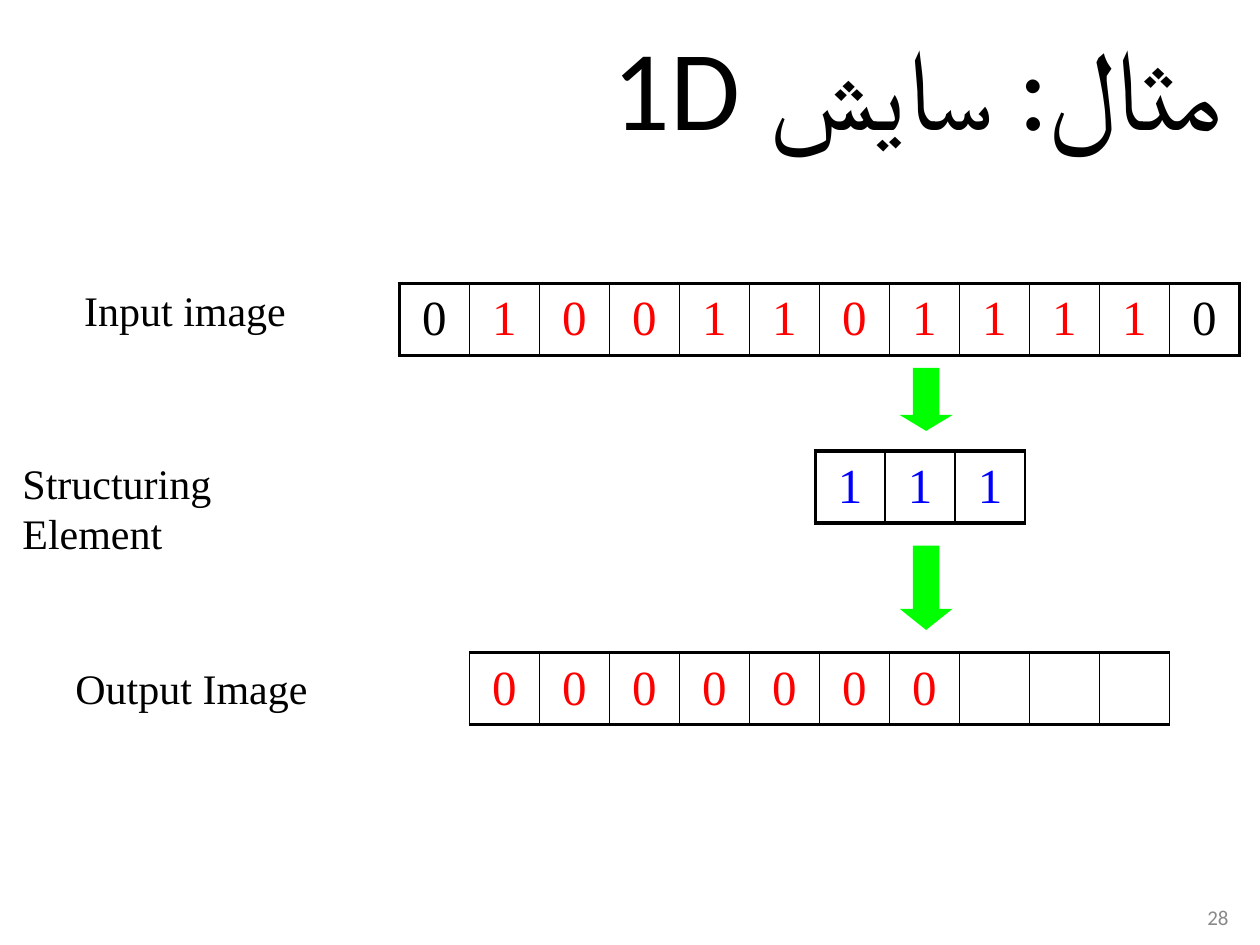
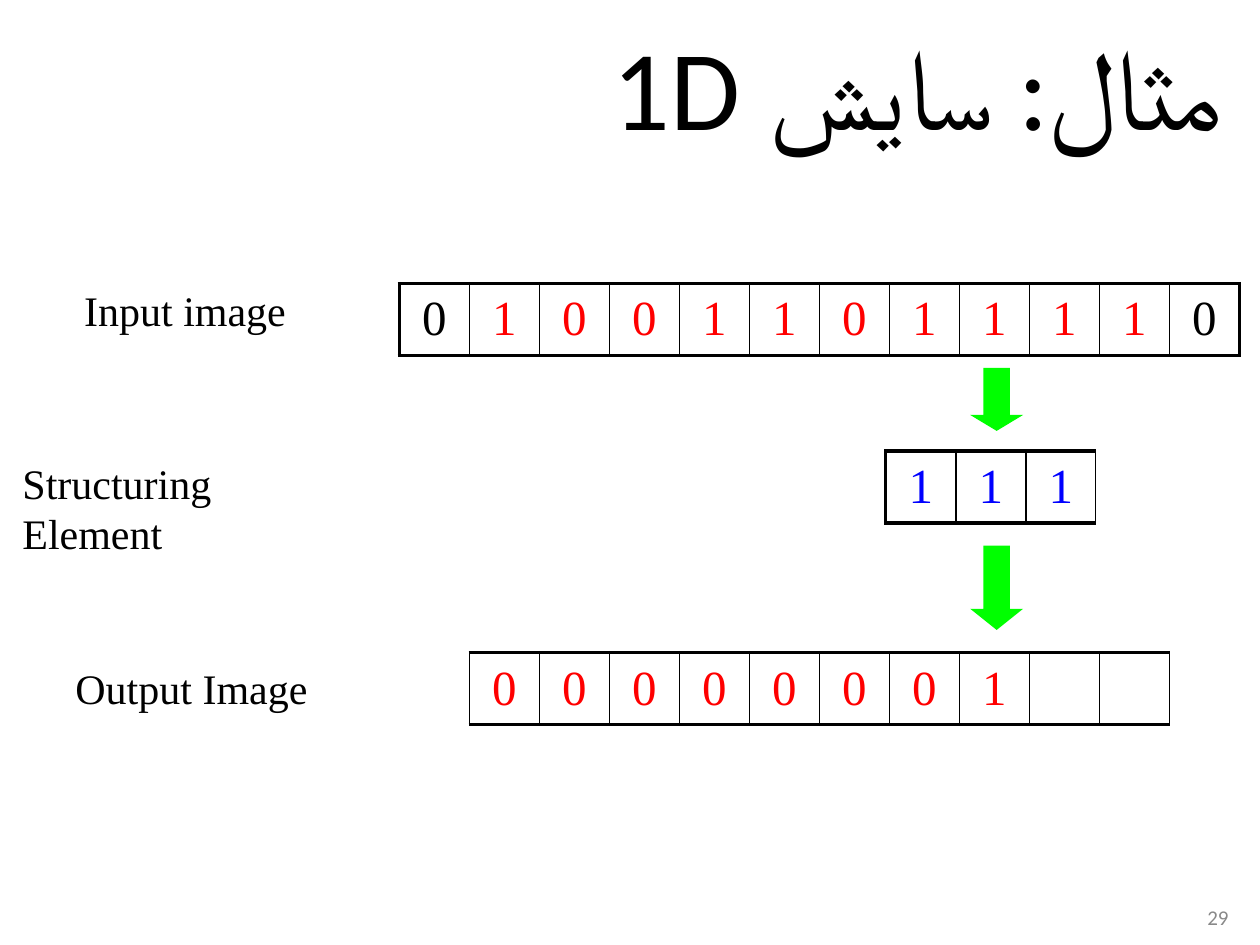
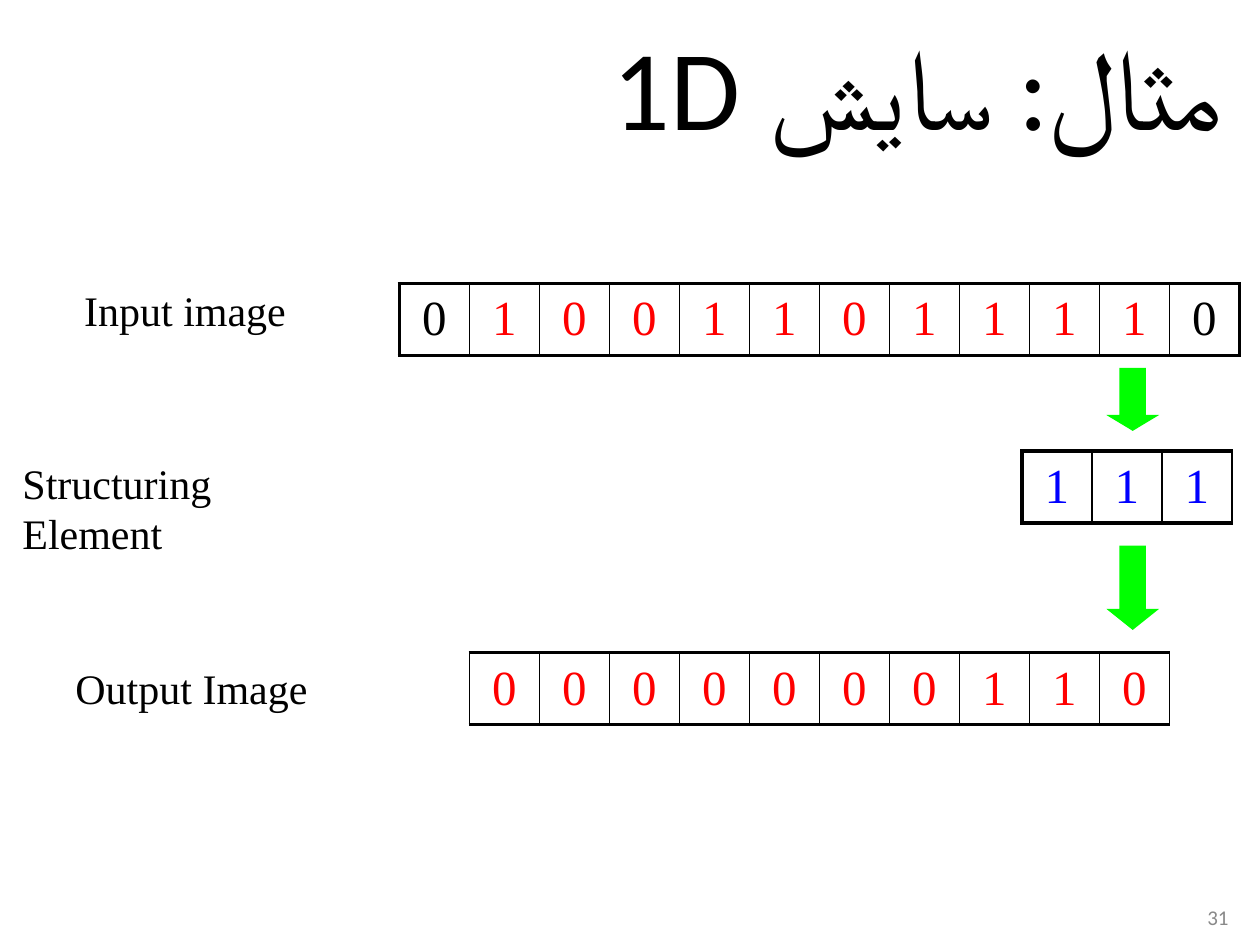
import pptx
import pptx.util
import pptx.dml.color
import pptx.enum.shapes
import pptx.enum.text
import pptx.oxml
import pptx.oxml.ns

Inches, Pt = pptx.util.Inches, pptx.util.Pt
PP_ALIGN = pptx.enum.text.PP_ALIGN
MIDDLE = pptx.enum.text.MSO_ANCHOR.MIDDLE
AUTO_SIZE = pptx.enum.text.MSO_AUTO_SIZE

# Content
COLORS = {"text": "000000", "number": "898989", "pixel": "FF0000",
          "element": "0000FF", "arrow": "00FF00"}
SANS, SERIF = "Calibri", "Times New Roman"
TITLE = [("مثال: ", SANS), ("سایش ", SERIF), ("1D", SANS)]
LABELS = [  # text, left, top, width
    ("Input image", 0.57, 2.21, 1.8),
    ("Structuring Element", 0.08, 3.58, 2.89),
    ("Output Image", 0.5, 5.21, 2.04),
]
INPUT = "010011011110"
ELEMENT = "111"
OUTPUT_SIZE = len(INPUT) - len(ELEMENT) + 1
STEPS = [  # slide number, left of structuring element, output so far
    ("28", 6.47, "0000000"),
    ("29", 7.03, "00000001"),
    ("31", 8.11, "0000000110"),
]

# Layout in inches
CELL_W, CELL_H = 5 / 9, 0.57
INPUT_LEFT = 3.17
ARROW_W, ARROW_SHIFT = 0.42, 0.67
ARROWS = [(4.33, 0.67, 0.4), (2.92, 0.5, 0.3)]  # top, height, head ratio
THIN, THICK = 1, 2.25


def add_run(p, text, size, font=SERIF, color="text"):
    r = p.add_run()
    r.text = text
    r.font.size = Pt(size)
    r.font.name = font
    r.font.color.rgb = pptx.dml.color.RGBColor.from_string(COLORS[color])
    return r


def add_title(slide):
    sp = slide.shapes.title
    sp.left, sp.top = Inches(-0.02), Inches(0.05)
    sp.width, sp.height = Inches(10.02), Inches(1.25)
    tf = sp.text_frame
    tf.auto_size = AUTO_SIZE.NONE
    tf.vertical_anchor = MIDDLE
    p = tf.paragraphs[0]
    p.alignment = PP_ALIGN.JUSTIFY
    pPr = p._p.get_or_add_pPr()
    pPr.set("rtl", "1")
    pPr.set("marL", str(Inches(0.2)))
    pPr.set("indent", "0")
    for text, font in TITLE:
        r = add_run(p, text, 65, font)
        cs = pptx.oxml.parse_xml(
            f'<a:cs {pptx.oxml.ns.nsdecls("a")} typeface="{font}"/>')
        r._r.get_or_add_rPr().append(cs)


def add_text(slide, text, left, top, width, height, size, wrap=False,
             align=PP_ALIGN.LEFT, anchor=None, **fmt):
    sp = slide.shapes.add_textbox(*map(Inches, (left, top, width, height)))
    tf = sp.text_frame
    tf.word_wrap = wrap
    tf.auto_size = AUTO_SIZE.NONE if wrap else AUTO_SIZE.SHAPE_TO_FIT_TEXT
    tf.vertical_anchor = anchor
    p = tf.paragraphs[0]
    p.alignment = align
    add_run(p, text, size, **fmt)


def add_arrow(slide, left, top, height, head):
    sp = slide.shapes.add_shape(pptx.enum.shapes.MSO_SHAPE.DOWN_ARROW,
                                *map(Inches, (left, top, ARROW_W, height)))
    sp.adjustments[0], sp.adjustments[1] = 0.5, head
    sp.shadow.inherit = False
    sp.fill.solid()
    sp.fill.fore_color.rgb = pptx.dml.color.RGBColor.from_string(COLORS["arrow"])
    sp.line.fill.background()


def set_borders(cell, left, right):
    widths = {"lnL": left, "lnR": right, "lnT": THICK, "lnB": THICK}
    for tag, width in widths.items():
        cell._tc.get_or_add_tcPr().append(pptx.oxml.parse_xml(
            f'<a:{tag} {pptx.oxml.ns.nsdecls("a")} w="{Pt(width)}"><a:solidFill>'
            f'<a:srgbClr val="{COLORS["text"]}"/></a:solidFill></a:{tag}>'))


def add_pixels(slide, values, colors, left, top, left_edge=THIN, right_edge=THIN):
    n = len(colors)
    frame = slide.shapes.add_table(
        1, n, *map(Inches, (left, top, n * CELL_W, CELL_H)))
    table = frame.table
    table.first_row = table.horz_banding = False
    for i, color in enumerate(colors):
        table.columns[i].width = Inches(CELL_W)
        cell = table.cell(0, i)
        set_borders(cell, left_edge if i == 0 else THIN,
                    right_edge if i == n - 1 else THIN)
        cell.fill.background()
        cell.vertical_anchor = MIDDLE
        if i < len(values):
            p = cell.text_frame.paragraphs[0]
            p.alignment = PP_ALIGN.CENTER
            add_run(p, values[i], 28, color=color)


def add_step(prs, number, element_left, output):
    slide = prs.slides.add_slide(prs.slide_layouts[5])
    add_title(slide)
    add_text(slide, number, 7.52, 7.08, 2.33, 0.4, 12, wrap=True,
             align=PP_ALIGN.RIGHT, anchor=MIDDLE, font=SANS, color="number")
    for text, left, top, width in LABELS:
        add_text(slide, text, left, top, width, 0.5, 24)
    for top, height, head in ARROWS:
        add_arrow(slide, element_left + ARROW_SHIFT, top, height, head)

    # Structuring element, output row and input row
    add_pixels(slide, ELEMENT, ["element"] * len(ELEMENT), element_left, 3.58,
               left_edge=THICK)
    add_pixels(slide, output, ["pixel"] * OUTPUT_SIZE, INPUT_LEFT + CELL_W, 5.18)
    input_colors = ["text"] + ["pixel"] * OUTPUT_SIZE + ["text"]
    add_pixels(slide, INPUT, input_colors, INPUT_LEFT, 2.25,
               left_edge=THICK, right_edge=THICK)


def main():
    prs = pptx.Presentation()
    prs.slide_width, prs.slide_height = Inches(10), Inches(7.5)
    for step in STEPS:
        add_step(prs, *step)
    prs.save("out.pptx")


if __name__ == "__main__":
    main()
